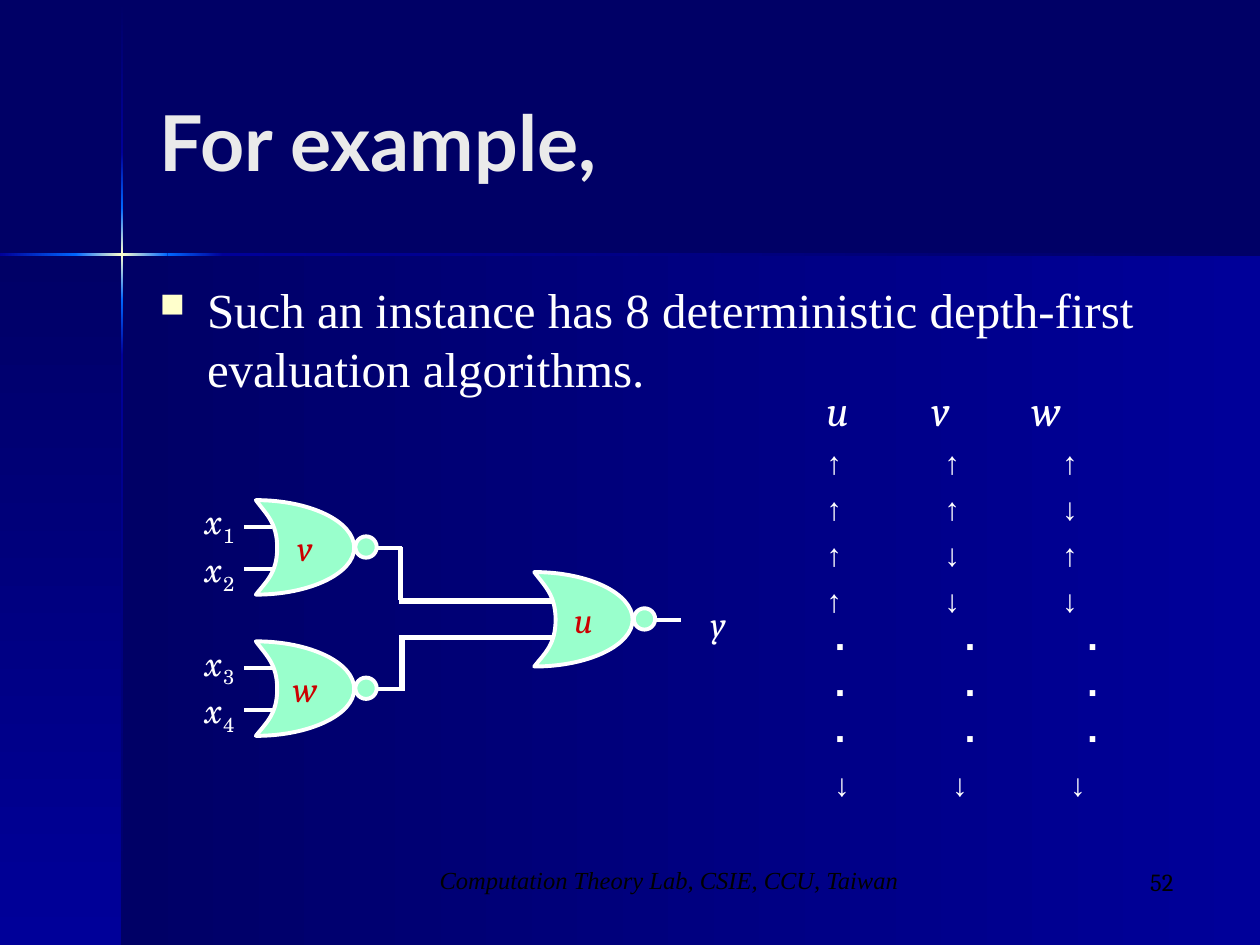
from copy import deepcopy
from dataclasses import dataclass

from pptx import Presentation
from pptx.dml.color import RGBColor
from pptx.enum.shapes import MSO_CONNECTOR, MSO_SHAPE
from pptx.enum.text import MSO_ANCHOR, MSO_AUTO_SIZE, PP_ALIGN
from pptx.oxml.ns import qn
from pptx.oxml.xmlchemy import OxmlElement
from pptx.util import Pt

NAVY = RGBColor(0x00, 0x00, 0x66)
BLUE = RGBColor(0x00, 0x00, 0x99)
BRIGHT = RGBColor(0x00, 0x66, 0xFF)
CREAM = RGBColor(0xFF, 0xFF, 0xCC)
MINT = RGBColor(0x99, 0xFF, 0xCC)
RED = RGBColor(0xCC, 0x00, 0x00)
WHITE = RGBColor(0xFF, 0xFF, 0xFF)
BLACK = RGBColor(0x00, 0x00, 0x00)
TITLE_GREY = RGBColor(0xEA, 0xEA, 0xEA)

DOWNWARD, LEFTWARD = 270, 180  # direction from first to last gradient stop


@dataclass
class Band:
    left: float
    top: float
    width: float
    height: float
    colours: tuple
    angle: int


@dataclass
class Gate:
    name: str
    left: float
    top: float
    inputs: tuple = ()


@dataclass
class TableRow:
    cells: str
    tabs: tuple
    font_name: str = "Arial"
    size: float = 18
    italic: bool = False
    bold: bool = False


BANDS = [
    Band(69.8, 145.4, 650.2, 394.6, (BLUE, NAVY), LEFTWARD),
    Band(0, 145.4, 69.8, 394.6, (NAVY, BLUE), DOWNWARD),
    # Vertical glowing rule
    Band(69.1, 0.7, 1.4, 86.4, (NAVY, BLUE), DOWNWARD),
    Band(69.1, 203, 1.4, 337, (BLUE, NAVY), DOWNWARD),
    Band(69.1, 171.4, 1.4, 31.6, (BRIGHT, BLUE), DOWNWARD),
    Band(69.1, 87.1, 1.4, 31.7, (BLUE, BRIGHT), DOWNWARD),
    Band(69.1, 118.8, 1.4, 52.6, (BRIGHT, CREAM, BRIGHT), DOWNWARD),
    # Horizontal glowing rule
    Band(127.4, 144.7, 592.6, 1.4, (NAVY, BLUE), LEFTWARD),
    Band(0, 144.7, 43.9, 1.4, (BRIGHT, BLUE), LEFTWARD),
    Band(95.8, 144.7, 31.6, 1.4, (BLUE, BRIGHT), LEFTWARD),
    Band(43.2, 144.7, 52.6, 1.4, (BRIGHT, CREAM, BRIGHT), LEFTWARD),
]

GATES = [
    Gate("v", 146.2, 285.8, ("1", "2")),
    Gate("w", 146.2, 366.5, ("3", "4")),
    Gate("u", 305.3, 326.9),
]
# Each curve: two control points and an end point, from the gate's corner
GATE_CURVES = [
    ((5.8, 7.9), (12.2, 13), (12.2, 27.2)),
    ((12.2, 41.6), (5.8, 46.6), (0, 54)),
    ((31, 54), (56.2, 41.8), (56.2, 27.2)),
    ((56.2, 12.2), (31, 0), (0, 0)),
]
WIRES = [
    (228.9, 312.5, 228.9, 343),
    (228.2, 343.4, 315.4, 343.4),
    (228.2, 364.3, 315.4, 364.3),
    (229.7, 364.3, 229.7, 394.6),
]

ARROW_TABS = (67.4, 134.8)
DOT_ROW = TableRow("\t⋅\t⋅\t⋅", (4.5, 78.8, 148.8), bold=True)
TABLE_ROWS = [
    TableRow("u\tv\tw", (60, 117.2), "Cambria", 24, italic=True),
    TableRow("↑\t↑\t↑", ARROW_TABS),
    TableRow("↑\t↑\t↓", ARROW_TABS),
    TableRow("↑\t↓\t↑", ARROW_TABS),
    TableRow("↑\t↓\t↓", ARROW_TABS),
    *[DOT_ROW] * 3,
    TableRow("\t↓\t↓\t↓", (4.5, 71.9, 139.3)),
]


def set_font(paragraph, name: str, size: float, colour: RGBColor,
             italic: bool = False, bold: bool = False) -> None:
    font = paragraph.font
    font.name, font.size = name, Pt(size)
    font.italic, font.bold = italic, bold
    font.color.rgb = colour


def add_child(parent, tag: str, **attributes):
    child = OxmlElement(tag)
    for key, value in attributes.items():
        child.set(key, str(value))
    parent.append(child)
    return child


def add_text_box(slide, left: float, top: float, width: float, height: float,
                 wrap: bool = True, middle: bool = False):
    frame = slide.shapes.add_textbox(Pt(left), Pt(top), Pt(width), Pt(height)).text_frame
    frame.word_wrap = wrap
    frame.vertical_anchor = MSO_ANCHOR.MIDDLE if middle else MSO_ANCHOR.TOP
    return frame


def add_band(slide, band: Band) -> None:
    shape = slide.shapes.add_shape(MSO_SHAPE.RECTANGLE, Pt(band.left), Pt(band.top),
                                   Pt(band.width), Pt(band.height))
    shape.shadow.inherit = False
    shape.line.fill.background()
    shape.fill.gradient()
    shape.fill.gradient_angle = band.angle
    stop_list = shape._element.spPr.find(".//" + qn("a:gsLst"))
    for _ in band.colours[2:]:
        stop_list.append(deepcopy(stop_list[0]))
    for index, (stop, colour) in enumerate(zip(shape.fill.gradient_stops, band.colours)):
        stop.color.rgb = colour
        stop.position = index / (len(band.colours) - 1)


def add_line(slide, x1: float, y1: float, x2: float, y2: float, weight: float) -> None:
    connector = slide.shapes.add_connector(MSO_CONNECTOR.STRAIGHT,
                                           Pt(x1), Pt(y1), Pt(x2), Pt(y2))
    connector.line.color.rgb = WHITE
    connector.line.width = Pt(weight)
    add_child(connector._element.spPr, "a:effectLst")


def style_gate_part(shape) -> None:
    shape.shadow.inherit = False
    shape.fill.solid()
    shape.fill.fore_color.rgb = MINT
    shape.line.color.rgb = WHITE
    shape.line.width = Pt(2.25)


def add_gate(slide, gate: Gate) -> None:
    # Body: anchors first, then each straight segment becomes a curve
    builder = slide.shapes.build_freeform(Pt(gate.left), Pt(gate.top))
    builder.add_line_segments([(Pt(gate.left + x), Pt(gate.top + y))
                               for _, _, (x, y) in GATE_CURVES], close=True)
    body = builder.convert_to_shape()
    segments = body._element.spPr.findall(".//" + qn("a:lnTo"))
    for segment, curve in zip(segments, GATE_CURVES):
        bezier = OxmlElement("a:cubicBezTo")
        for x, y in curve:
            add_child(bezier, "a:pt", x=int(Pt(x)), y=int(Pt(y)))
        segment.getparent().replace(segment, bezier)
    style_gate_part(body)
    frame = body.text_frame
    frame.word_wrap = False
    frame.vertical_anchor = MSO_ANCHOR.MIDDLE
    paragraph = frame.paragraphs[0]
    paragraph.text = gate.name
    paragraph.alignment = PP_ALIGN.CENTER
    set_font(paragraph, "Cambria", 20, RED, italic=True)

    # Output and inputs
    middle = gate.top + 27.4
    add_line(slide, gate.left + 56.2, middle, gate.left + 83.7, middle, 2.25)
    if gate.inputs:
        frame = add_text_box(slide, gate.left - 36, gate.top - 3.8, 31, 61.9, False, True)
    for index, subscript in enumerate(gate.inputs):
        y = gate.top + 15.1 + 24.2 * index
        add_line(slide, gate.left - 6.5, y, gate.left + 9.4, y, 2.25)
        paragraph = frame.add_paragraph() if index else frame.paragraphs[0]
        paragraph.alignment = PP_ALIGN.CENTER
        set_font(paragraph, "TeX Gyre Schola", 20, WHITE, italic=True)
        paragraph.add_run().text = "x"
        run = paragraph.add_run()
        run.text = subscript
        run.font.italic = False
        run.font._element.set("baseline", "-25000")

    # Inversion bubble
    bubble = slide.shapes.add_shape(MSO_SHAPE.OVAL, Pt(gate.left + 56.9),
                                    Pt(gate.top + 20.7), Pt(12.2), Pt(12.2))
    style_gate_part(bubble)


def add_label(frame, text: str, alignment, font_name: str, size: float,
              colour: RGBColor, italic: bool) -> None:
    paragraph = frame.paragraphs[0]
    paragraph.text = text
    paragraph.alignment = alignment
    set_font(paragraph, font_name, size, colour, italic)


def add_order_table(slide) -> None:
    frame = add_text_box(slide, 465.1, 223.9, 181.4, 238.3)
    frame.auto_size = MSO_AUTO_SIZE.SHAPE_TO_FIT_TEXT
    for index, row in enumerate(TABLE_ROWS):
        paragraph = frame.add_paragraph() if index else frame.paragraphs[0]
        paragraph.text = row.cells
        tab_list = add_child(paragraph._p.get_or_add_pPr(), "a:tabLst")
        for position in row.tabs:
            add_child(tab_list, "a:tab", pos=int(Pt(position)), algn="l")
        paragraph.line_spacing = 0.7
        if index:
            paragraph.space_before = Pt(11.2)
        set_font(paragraph, row.font_name, row.size, WHITE, row.italic, row.bold)


def main() -> None:
    presentation = Presentation()
    presentation.slide_width, presentation.slide_height = Pt(720), Pt(540)
    slide = presentation.slides.add_slide(presentation.slide_layouts[5])
    slide.background.fill.solid()
    slide.background.fill.fore_color.rgb = NAVY
    for band in BANDS:
        add_band(slide, band)

    # Title
    title = slide.shapes.title
    title.left, title.top, title.width, title.height = Pt(84.2), Pt(23.8), Pt(594), Pt(113)
    title.text_frame.vertical_anchor = MSO_ANCHOR.MIDDLE
    paragraph = title.text_frame.paragraphs[0]
    paragraph.text = "For example,"
    paragraph.alignment = PP_ALIGN.LEFT
    set_font(paragraph, "Lato", 44, TITLE_GREY, bold=True)

    # Circuit
    for gate in GATES:
        add_gate(slide, gate)
    for wire in WIRES:
        add_line(slide, *wire, 3)
    add_label(add_text_box(slide, 398.2, 340.6, 24.5, 31.7, False, True),
              "y", PP_ALIGN.CENTER, "Cambria", 20, WHITE, True)

    # Bulleted statement
    paragraph = add_text_box(slide, 84.2, 156.2, 594, 324).paragraphs[0]
    paragraph.text = "Such an instance has 8 deterministic depth-first evaluation algorithms."
    properties = paragraph._p.get_or_add_pPr()
    properties.set("marL", str(int(Pt(27))))
    properties.set("indent", str(int(Pt(-27))))
    add_child(add_child(properties, "a:buClr"), "a:srgbClr", val=CREAM)
    add_child(properties, "a:buSzPct", val=70000)
    add_child(properties, "a:buChar", char="■")
    set_font(paragraph, "Times New Roman", 28, WHITE)

    # Evaluation orders and footer
    add_order_table(slide)
    add_label(add_text_box(slide, 225.4, 491, 313.9, 36),
              "Computation Theory Lab, CSIE, CCU, Taiwan",
              PP_ALIGN.CENTER, "Times New Roman", 14, BLACK, True)
    add_label(add_text_box(slide, 527.8, 491.8, 149.8, 36),
              "52", PP_ALIGN.RIGHT, "Cambria", 14, BLACK, False)
    presentation.save("out.pptx")


if __name__ == "__main__":
    main()
